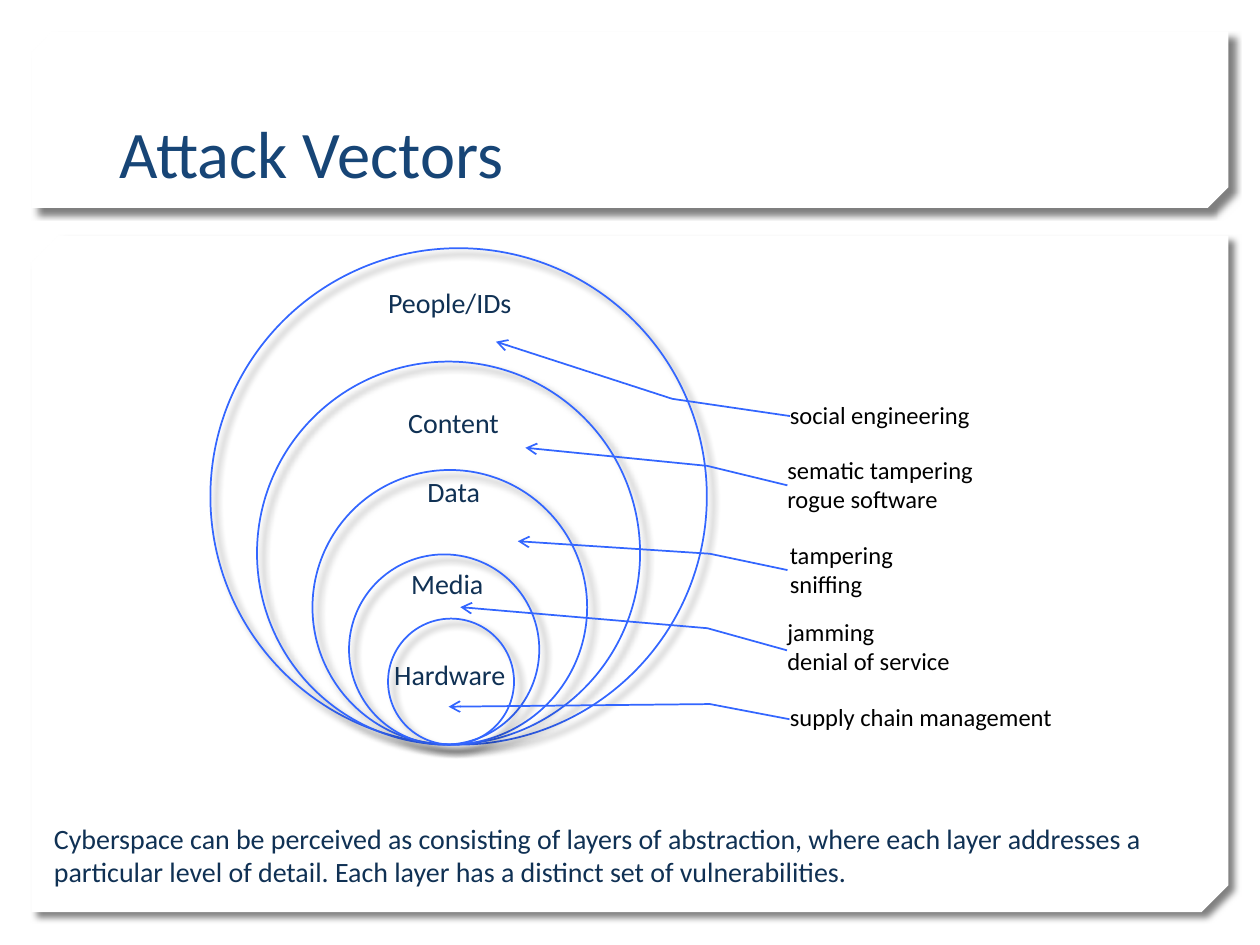
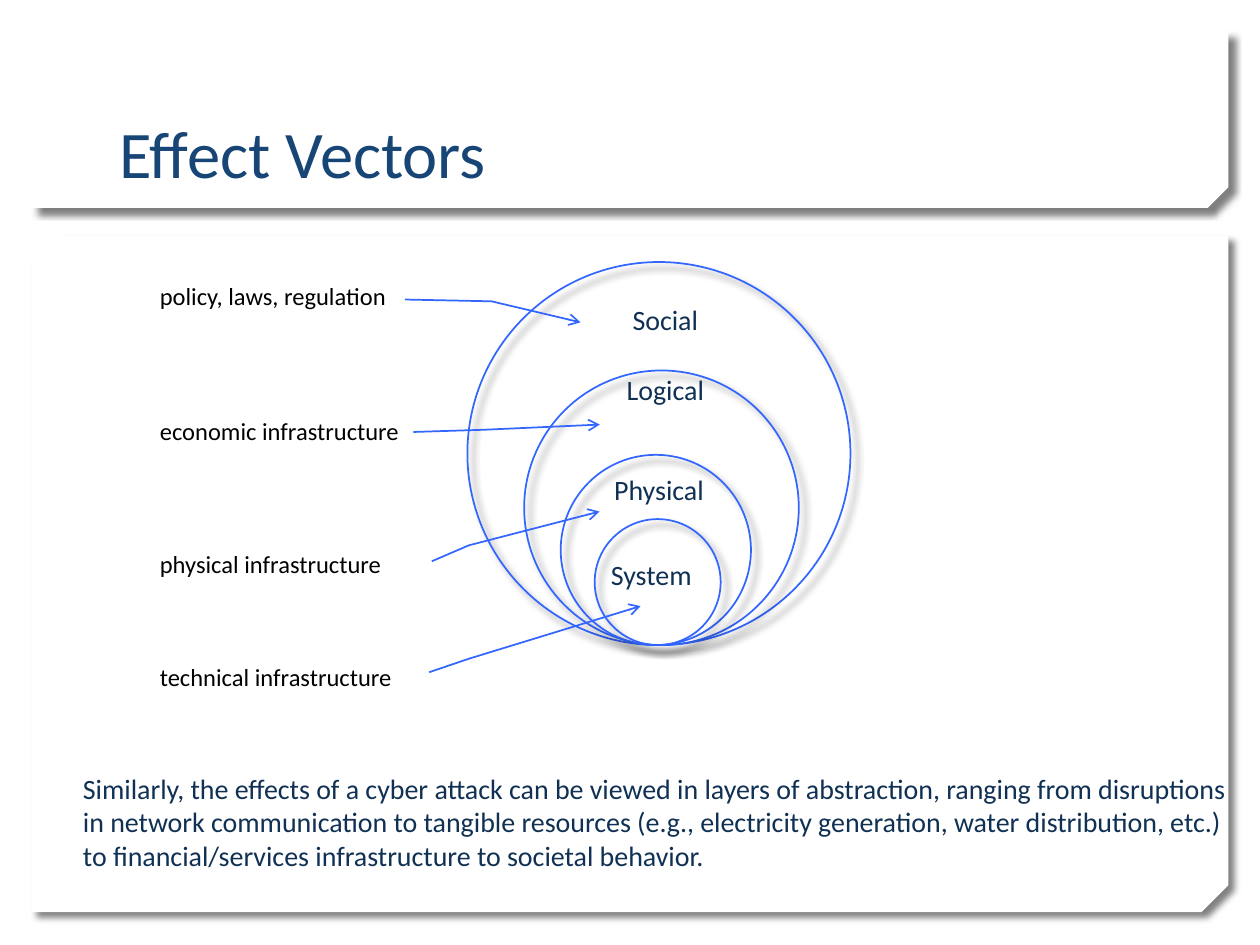
from dataclasses import dataclass
from typing import NamedTuple

from lxml.etree import SubElement
from pptx import Presentation
from pptx.dml.color import RGBColor
from pptx.enum.shapes import MSO_SHAPE as Preset
from pptx.enum.text import MSO_ANCHOR as Anchor, MSO_AUTO_SIZE as AutoSize, PP_ALIGN as Align
from pptx.oxml.ns import qn
from pptx.util import Inches, Pt


@dataclass(frozen=True)
class Theme:
    font: str = "Calibri"
    panel: str = "FFFFFF"
    title: str = "174576"
    body: str = "103154"
    note: str = "000000"
    line: str = "3366FF"
    shadow: str = "000000"
    title_size: int = 38
    body_size: int = 16
    note_size: int = 14
    line_width: int = 1


class Box(NamedTuple):
    """Left, top, width and height in grid cells."""
    left: float
    top: float
    width: float
    height: float

    def inside(self, left, top, width, height):
        return Box(self.left + left, self.top + top, width, height)

    def lengths(self):
        return [round(CELL * cells) for cells in self]


class Layer(NamedTuple):
    name: str
    label_at: tuple        # left, top within the body panel
    ring_left: float
    diameter: float
    note: str
    note_box: tuple        # left, top, width, height within the body panel
    leader: tuple          # y, x pairs in percent of the note box
    align: Align = Align.CENTER


THEME = Theme()
SLIDE_WIDTH, SLIDE_HEIGHT = Inches(10), Inches(7.5)
CELL = SLIDE_WIDTH / 100   # the slide is a grid of 100 columns by 75 rows

HEADER = Box(2.5, 2.5, 95, 14)
BODY = Box(2.5, 18.7, 95, 53.7)
LABEL_SIZE = (14.8, 3.7)

ATTACK_LAYERS = [
    Layer("People/IDs", (25.8, 3.5), 14.2, 39.4, "social engineering",
          (59.2, 11.9, 32.1, 4.7), (51.6, 3.1, 22.6, -26, -74, -69.6)),
    Layer("Content", (26.1, 13), 17.9, 30.4, "sematic tampering\nrogue software",
          (59, 17.4, 32.1, 4.7), (51.6, 3.1, 18.8, -16.7, -11.9, -61.7)),
    Layer("Data", (26.1, 18.5), 22.3, 21.8, "tampering\nsniffing",
          (59.2, 24.5, 32.1, 4), (51.2, 2.5, 18.8, -16.7, -6.2, -64.2)),
    Layer("Media", (25.6, 25.8), 25.2, 15.1, "jamming\ndenial of service",
          (59, 30.3, 32.1, 4.6), (57, 3, 18.8, -16.7, -17.7, -77.8)),
    Layer("Hardware", (27.8, 33), 28.3, 10, "supply chain management",
          (59.2, 36.6, 32.1, 3.1), (57.6, 3, 18.8, -16.7, 25.5, -81.3), Align.LEFT),
]

EFFECT_LAYERS = [
    Layer("Social", (42.9, 4.8), 34.6, 30.4, "policy, laws, regulation",
          (9.2, 3.6, 25.5, 2.4), (61.6, 80.1, 67.4, 107.1, 136.9, 134.8)),
    Layer("Logical", (42.9, 10.4), 39.1, 21.8, "economic infrastructure",
          (9.2, 14.3, 25.5, 2.4), (53.7, 82.8, 46.5, 104.5, 29.3, 140.8)),
    Layer("Physical", (42.4, 18.3), 42, 15.1, "physical infrastructure",
          (9.2, 24.8, 25.5, 2.4), (43.9, 88.5, -9, 100, -120.8, 140.7)),
    Layer("System", (45, 25.1), 44.7, 10, "technical infrastructure",
          (9.2, 33.8, 25.5, 2.4), (35.6, 87.7, -9, 100, -183, 153.5), Align.LEFT),
]


def color(name):
    return RGBColor.from_string(getattr(THEME, name))


def write(frame, text, size, ink, align=Align.LEFT, anchor=Anchor.TOP):
    frame.text = text
    frame.word_wrap = True
    frame.vertical_anchor = anchor
    for paragraph in frame.paragraphs:
        paragraph.alignment = align
        for run in paragraph.runs:
            run.font.name = THEME.font
            run.font.size = Pt(size)
            run.font.color.rgb = color(ink)


def add_text(slide, box, text, size, ink, align=Align.LEFT, anchor=Anchor.TOP):
    frame = slide.shapes.add_textbox(*box.lengths()).text_frame
    write(frame, text, size, ink, align, anchor)
    return frame


def add_outline(slide, preset, box):
    """Unfilled preset shape with the thin blue line."""
    outline = slide.shapes.add_shape(preset, *box.lengths())
    outline.shadow.inherit = False
    outline.fill.background()
    outline.line.color.rgb = color("line")
    outline.line.width = Pt(THEME.line_width)
    return outline


def cast_shadow(shape):
    shape.shadow.inherit = False
    effects = shape._element.spPr.find(qn("a:effectLst"))
    shadow = SubElement(effects, qn("a:outerShdw"), blurRad=str(Pt(4)), dist=str(Pt(5)),
                        dir=str(45 * 60000), algn="tl", rotWithShape="0")
    tint = SubElement(shadow, qn("a:srgbClr"), val=THEME.shadow)
    SubElement(tint, qn("a:alpha"), val="50000")


def add_panel(slide, box, snip):
    panel = slide.shapes.add_shape(Preset.SNIP_2_DIAG_RECTANGLE, *box.lengths())
    panel.adjustments[0], panel.adjustments[1] = 0, snip
    panel._element.spPr.xfrm.set("flipV", "1")
    panel.fill.solid()
    panel.fill.fore_color.rgb = color("panel")
    panel.line.fill.background()
    cast_shadow(panel)


def add_header(slide, box, title):
    add_panel(slide, box, 0.117)
    add_text(slide, box.inside(6, 0.7, 82.9, 12.5), title,
             THEME.title_size, "title", anchor=Anchor.BOTTOM)


def add_layer(slide, box, layer, floor):
    # Ring resting on the common floor
    ring = add_outline(slide, Preset.OVAL, box.inside(
        layer.ring_left, floor - layer.diameter, layer.diameter, layer.diameter))
    cast_shadow(ring)
    # Layer name
    label = add_text(slide, box.inside(*layer.label_at, *LABEL_SIZE), layer.name,
                     THEME.body_size, "body", layer.align)
    label.auto_size = AutoSize.SHAPE_TO_FIT_TEXT
    # Note with a bent leader arrow into the ring
    note = add_outline(slide, Preset.LINE_CALLOUT_2_NO_BORDER, box.inside(*layer.note_box))
    for index, percent in enumerate(layer.leader):
        note.adjustments[index] = percent / 100
    SubElement(note.line._get_or_add_ln(), qn("a:tailEnd"), type="arrow")
    write(note.text_frame, layer.note, THEME.note_size, "note", anchor=Anchor.MIDDLE)


def add_layers_slide(deck, title, layers, floor, summary, summary_box):
    slide = deck.slides.add_slide(deck.slide_layouts[6])
    add_panel(slide, BODY, 0.04)
    add_header(slide, HEADER, title)
    caption = add_text(slide, BODY.inside(*summary_box), summary, THEME.body_size, "body")
    caption.auto_size = AutoSize.SHAPE_TO_FIT_TEXT
    for layer in layers:
        add_layer(slide, BODY, layer, floor)


def main():
    deck = Presentation()
    deck.slide_width, deck.slide_height = SLIDE_WIDTH, SLIDE_HEIGHT
    add_layers_slide(
        deck, "Attack Vectors", ATTACK_LAYERS, 40.4,
        "Cyberspace can be perceived as consisting of layers of abstraction, where each "
        "layer addresses a particular level of detail. Each layer has a distinct set of "
        "vulnerabilities.",
        (0.8, 46, 94.2, 6.4))
    add_layers_slide(
        deck, "Effect Vectors", EFFECT_LAYERS, 32.5,
        "Similarly, the effects of a cyber attack can be viewed in layers of abstraction, "
        "ranging from disruptions in network communication to tangible resources (e.g., "
        "electricity generation, water distribution, etc.) to financial/services "
        "infrastructure to societal behavior.",
        (3.1, 42, 92.8, 9.1))
    deck.save("out.pptx")


if __name__ == "__main__":
    main()
